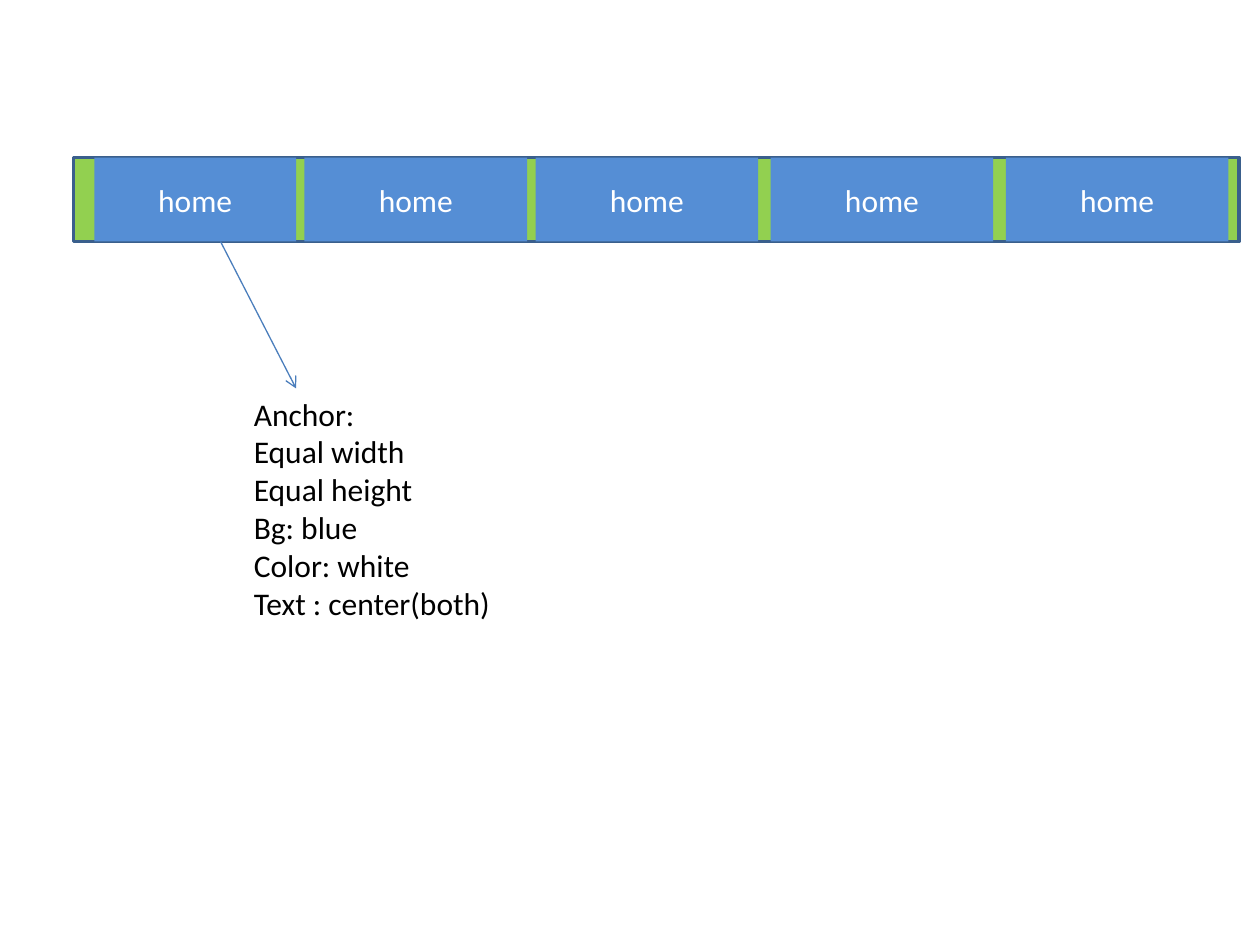
"""Build a slide showing a navigation bar with notes on its anchors."""
import pptx
import pptx.dml.color
import pptx.enum.shapes
import pptx.enum.text
import pptx.oxml.ns
import pptx.util
from lxml import etree

Pt = pptx.util.Pt
RGBColor = pptx.dml.color.RGBColor
RECTANGLE = pptx.enum.shapes.MSO_SHAPE.RECTANGLE

GREEN = RGBColor(0x92, 0xD0, 0x50)
BLUE = RGBColor(0x55, 0x8E, 0xD5)
NAVY = RGBColor(0x3A, 0x5F, 0x8C)
ARROW_BLUE = RGBColor(0x4B, 0x7E, 0xBC)
WHITE = RGBColor(0xFF, 0xFF, 0xFF)
BLACK = RGBColor(0, 0, 0)

BAR_TOP, BAR_HEIGHT = 90, 48
ANCHORS = [(54, 115.2), (174, 127.2), (306, 127.2), (440.4, 127.2), (574.8, 127.2)]
RULES = ["Anchor:", "Equal width", "Equal height", "Bg: blue", "Color: white",
         "Text : center(both)"]


def add_block(left, width, color):
    block = slide.shapes.add_shape(RECTANGLE, Pt(left), Pt(BAR_TOP), Pt(width), Pt(BAR_HEIGHT))
    block.shadow.inherit = False
    block.fill.solid()
    block.fill.fore_color.rgb = color
    return block


def style_text(paragraph, color):
    paragraph.font.name = "Calibri"
    paragraph.font.size = Pt(18)
    paragraph.font.color.rgb = color


deck = pptx.Presentation()
deck.slide_width, deck.slide_height = Pt(720), Pt(540)
slide = deck.slides.add_slide(deck.slide_layouts[6])

nav_bar = add_block(42, 666, GREEN)
nav_bar.line.color.rgb = NAVY
nav_bar.line.width = Pt(2)

rules = slide.shapes.add_textbox(Pt(138), Pt(222), Pt(330), Pt(138)).text_frame
rules.word_wrap = True
rules.auto_size = pptx.enum.text.MSO_AUTO_SIZE.SHAPE_TO_FIT_TEXT
rules.text = "\n".join(RULES)
for rule in rules.paragraphs:
    style_text(rule, BLACK)

for left, width in ANCHORS:
    anchor = add_block(left, width, BLUE)
    anchor.line.fill.background()
    anchor.text_frame.vertical_anchor = pptx.enum.text.MSO_ANCHOR.MIDDLE
    label = anchor.text_frame.paragraphs[0]
    label.text = "home"
    label.alignment = pptx.enum.text.PP_ALIGN.CENTER
    style_text(label, WHITE)

pointer = slide.shapes.add_connector(
    pptx.enum.shapes.MSO_CONNECTOR.STRAIGHT,
    Pt(126), Pt(BAR_TOP + BAR_HEIGHT), Pt(169.2), Pt(222))
pointer.line.color.rgb = ARROW_BLUE
pointer.line.width = Pt(0.75)
qn = pptx.oxml.ns.qn
etree.SubElement(pointer.line._get_or_add_ln(), qn("a:tailEnd"), type="arrow")
etree.SubElement(pointer._element.spPr, qn("a:effectLst"))

deck.save("out.pptx")
